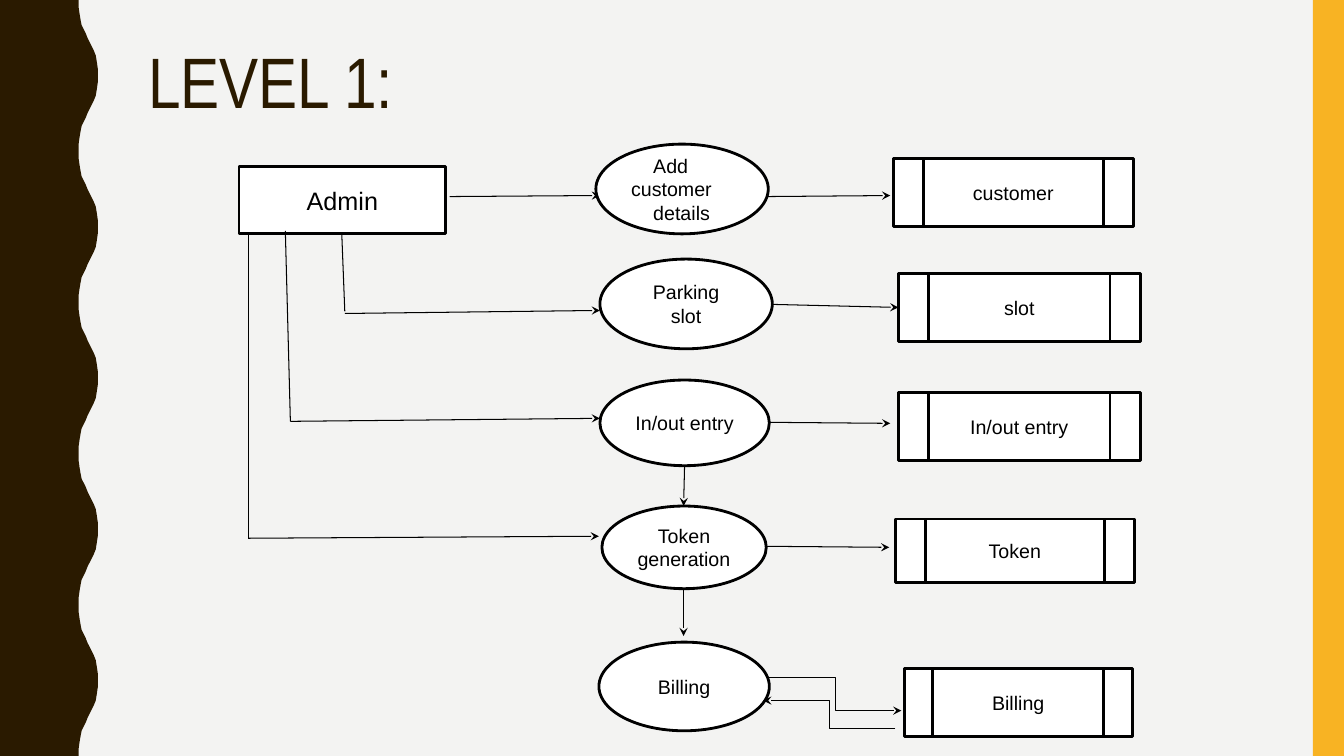
"""Build the level 1 data flow diagram slide of a parking system."""
from pptx import Presentation
from pptx.dml.color import RGBColor
from pptx.enum.shapes import MSO_CONNECTOR, MSO_SHAPE
from pptx.enum.text import MSO_ANCHOR, PP_ALIGN
from pptx.oxml.ns import qn
from pptx.util import Inches, Pt
from lxml import etree

RECTANGLE = MSO_SHAPE.RECTANGLE
ELLIPSE = MSO_SHAPE.OVAL
DATA_STORE = MSO_SHAPE.FLOWCHART_PREDEFINED_PROCESS
STRAIGHT = MSO_CONNECTOR.STRAIGHT
ELBOW = MSO_CONNECTOR.ELBOW
LEFT_SIDE = 1
COLORS = {
    "background": "F3F3F2",
    "brown": "2A1A00",
    "gold": "F8B323",
    "white": "FFFFFF",
    "black": "000000",
}
COLORS = {name: RGBColor.from_string(value) for name, value in COLORS.items()}

presentation = Presentation()
presentation.slide_width = Inches(13.33)
presentation.slide_height = Inches(7.5)
slide = presentation.slides.add_slide(presentation.slide_layouts[6])
slide.background.fill.solid()
slide.background.fill.fore_color.rgb = COLORS["background"]


def add_node(kind, label, box, size=14):
    """Add a white, outlined shape with a centred label."""
    shape = slide.shapes.add_shape(kind, *map(Inches, box))
    shape.shadow.inherit = False
    shape.fill.solid()
    shape.fill.fore_color.rgb = COLORS["white"]
    shape.line.color.rgb = COLORS["black"]
    shape.line.width = Pt(2)
    shape.text_frame.text = label
    shape.text_frame.vertical_anchor = MSO_ANCHOR.MIDDLE
    for paragraph in shape.text_frame.paragraphs:
        paragraph.alignment = PP_ALIGN.CENTER
        paragraph.font.name = "Arial"
        paragraph.font.size = Pt(size)
        paragraph.font.color.rgb = COLORS["black"]
    return shape


def add_flow(kind, ends, arrow=True):
    """Add a thin black connector, with an arrowhead unless told otherwise."""
    connector = slide.shapes.add_connector(kind, *map(Inches, ends))
    connector.line.color.rgb = COLORS["black"]
    connector.line.width = Pt(0.75)
    properties = connector._element.spPr
    if arrow:
        line = properties.find(qn("a:ln"))
        etree.SubElement(line, qn("a:tailEnd"), type="stealth")
    etree.SubElement(properties, qn("a:effectLst"))
    return connector


wave_period = 1.5
half_wave = [
    (0.78, 0), (0.78, 0.07), (0.79, 0.14), (0.8, 0.2), (0.81, 0.25),
    (0.83, 0.29), (0.85, 0.33), (0.87, 0.38), (0.89, 0.42), (0.91, 0.46),
    (0.93, 0.5), (0.95, 0.55), (0.96, 0.61), (0.97, 0.68), (0.97, 0.75),
]
wave = half_wave + [(x, wave_period - y) for x, y in half_wave[-2::-1]]
wave_points = [
    (Inches(x), Inches(y + period * wave_period))
    for period in range(5) for x, y in wave
]
builder = slide.shapes.build_freeform(0, 0)
builder.add_line_segments(wave_points + [(0, Inches(7.5))], close=True)
wave_band = builder.convert_to_shape()
gold_band = slide.shapes.add_shape(
    RECTANGLE, Inches(13.02), 0, Inches(0.31), Inches(7.5))
for band, color in ((wave_band, "brown"), (gold_band, "gold")):
    band.shadow.inherit = False
    band.fill.solid()
    band.fill.fore_color.rgb = COLORS[color]
    band.line.fill.background()

title = slide.shapes.add_textbox(
    Inches(1.37), Inches(0.42), Inches(11.13), Inches(1.63))
title.text_frame.word_wrap = True
title.text_frame.text = "LEVEL 1:"
paragraph = title.text_frame.paragraphs[0]
paragraph.line_spacing = 0.9
paragraph.font.name = "Arial Narrow"
paragraph.font.size = Pt(51)
paragraph.font.color.rgb = COLORS["brown"]

add_node(RECTANGLE, "Admin", (2.37, 1.65, 2.05, 0.67), 18)

admin_drops = [
    (3.39, 2.32, 3.42, 3.09),
    (2.83, 2.29, 2.88, 4.18),
    (2.46, 2.31, 2.46, 5.34),
]
for ends in admin_drops:
    add_flow(STRAIGHT, ends, arrow=False)

arrows = [
    (4.46, 1.95, 5.95, 1.94),
    (3.42, 3.11, 5.95, 3.08),
    (2.88, 4.18, 5.95, 4.15),
    (2.46, 5.34, 5.94, 5.32),
    (7.6, 1.95, 8.83, 1.94),
    (7.63, 4.19, 8.83, 4.2),
    (7.6, 5.42, 8.82, 5.43),
    (6.79, 4.62, 6.78, 5.02),
    (6.78, 5.83, 6.78, 6.31),
]
for ends in arrows:
    add_flow(STRAIGHT, ends)

add_details = add_node(
    ELLIPSE, "Add customer\ndetails", (5.91, 1.43, 1.71, 0.89))
for paragraph in add_details.text_frame.paragraphs:
    paragraph.alignment = PP_ALIGN.LEFT
    paragraph._p.get_or_add_pPr().set("indent", str(Inches(0.22)))

processes = [
    ("Parking slot", (5.95, 2.57, 1.71, 0.89)),
    ("In/out entry", (5.95, 3.77, 1.68, 0.85)),
    ("Token generation", (5.97, 5.02, 1.63, 0.82)),
    ("Billing", (5.94, 6.37, 1.69, 0.88)),
]
for label, box in processes:
    add_node(ELLIPSE, label, box)

data_stores = [
    ("customer", (8.86, 1.57, 2.38, 0.68)),
    ("slot", (8.91, 2.71, 2.4, 0.68)),
    ("In/out entry", (8.91, 3.89, 2.4, 0.68)),
    ("Token", (8.88, 5.15, 2.37, 0.63)),
    ("Billing", (8.97, 6.63, 2.26, 0.68)),
]
stores = {label: add_node(DATA_STORE, label, box) for label, box in data_stores}

slot_arrow = add_flow(STRAIGHT, (7.66, 3.02, 8.89, 3.03))
slot_arrow.end_connect(stores["slot"], LEFT_SIDE)
add_flow(ELBOW, (7.63, 6.72, 8.94, 7.05))
add_flow(ELBOW, (8.88, 7.23, 7.57, 6.95))

presentation.save("out.pptx")
